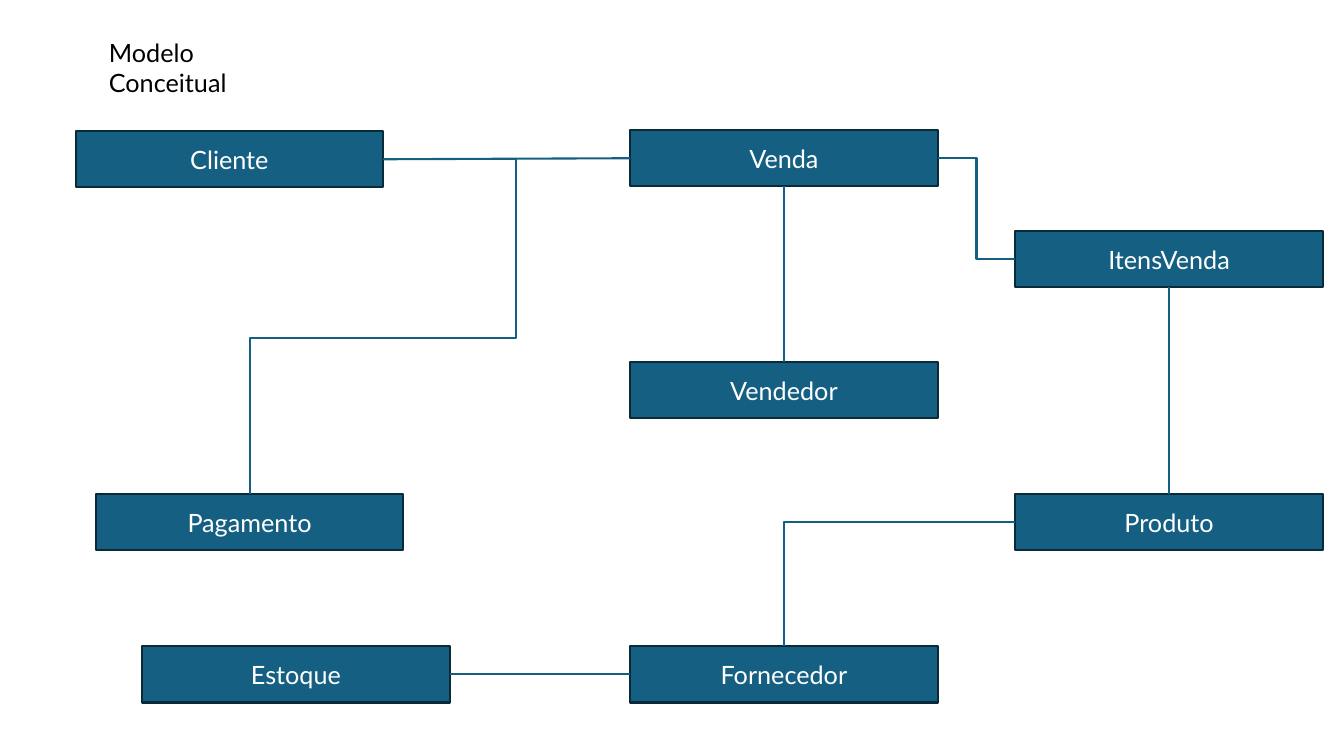
"""Build the "Modelo Conceitual" entity diagram slide."""
import pptx
import pptx.dml.color
import pptx.enum.shapes
import pptx.enum.text
import pptx.oxml
import pptx.oxml.ns
import pptx.util

SLIDE_SIZE = (13.33, 7.5)
TITLE = ("Modelo Conceitual", (0.98, 0.32, 2.27, 0.4))
BOX_WIDTH, BOX_HEIGHT = 3.05, 0.56
COLUMNS = {"client": 0.75, "payment": 0.95, "stock": 1.41, "middle": 6.25, "right": 10.07}
ROWS = {"client": 1.3, "sale": 1.29, "items": 2.29, "seller": 3.59, "product": 4.9, "supplier": 6.41}
ENTITIES = {
    "Cliente": ("client", "client"),
    "Venda": ("middle", "sale"),
    "Produto": ("right", "product"),
    "Fornecedor": ("middle", "supplier"),
    "Vendedor": ("middle", "seller"),
    "Pagamento": ("payment", "product"),
    "ItensVenda": ("right", "items"),
    "Estoque": ("stock", "supplier"),
}
TOP, LEFT, BOTTOM, RIGHT = range(4)
SIDE_SHARES = {TOP: (0.5, 0), LEFT: (0, 0.5), BOTTOM: (0.5, 1), RIGHT: (1, 0.5)}
LINKS = [
    ("Cliente", RIGHT, "Venda", LEFT, "line"),
    ("Venda", BOTTOM, "Vendedor", TOP, "line"),
    ("Venda", RIGHT, "ItensVenda", LEFT, "bentConnector3"),
    ("ItensVenda", BOTTOM, "Produto", TOP, "line"),
    ("Produto", LEFT, "Fornecedor", TOP, "bentConnector2"),
    ("Estoque", RIGHT, "Fornecedor", LEFT, "line"),
]
JUNCTION, JUNCTION_BEND = (5.12, 1.57), 3.35
FONT, FONT_SIZE, LINE_WIDTH = "Lato", 18, 1.5
BLUE, NAVY, WHITE, BLACK = "156082", "092A39", "FFFFFF", "000000"


def color(code):
    return pptx.dml.color.RGBColor.from_string(code)


def inches(values):
    return [pptx.util.Inches(value) for value in values]


def write(shape, text, code, align, anchor):
    frame = shape.text_frame
    frame.vertical_anchor = anchor
    para = frame.paragraphs[0]
    para.text = text
    para.alignment = align
    para.font.name = FONT
    para.font.size = pptx.util.Pt(FONT_SIZE)
    para.font.color.rgb = color(code)


def add_title(page):
    text, place = TITLE
    title = page.shapes.title
    title.left, title.top, title.width, title.height = inches(place)
    write(title, text, BLACK, pptx.enum.text.PP_ALIGN.LEFT, pptx.enum.text.MSO_ANCHOR.TOP)
    title.text_frame.word_wrap = False
    title.text_frame.auto_size = pptx.enum.text.MSO_AUTO_SIZE.SHAPE_TO_FIT_TEXT


def add_entity(page, name, column, row):
    place = inches((COLUMNS[column], ROWS[row], BOX_WIDTH, BOX_HEIGHT))
    box = page.shapes.add_shape(pptx.enum.shapes.MSO_SHAPE.RECTANGLE, *place)
    box.shadow.inherit = False
    box.fill.solid()
    box.fill.fore_color.rgb = color(BLUE)
    box.line.color.rgb = color(NAVY)
    box.line.width = pptx.util.Pt(LINE_WIDTH)
    write(box, name, WHITE, pptx.enum.text.PP_ALIGN.CENTER, pptx.enum.text.MSO_ANCHOR.MIDDLE)
    return box


def side_point(name, side):
    column, row = ENTITIES[name]
    across, down = SIDE_SHARES[side]
    return COLUMNS[column] + across * BOX_WIDTH, ROWS[row] + down * BOX_HEIGHT


def add_link(page, start, end, preset):
    kinds = pptx.enum.shapes.MSO_CONNECTOR
    kind = kinds.STRAIGHT if preset == "line" else kinds.ELBOW
    link = page.shapes.add_connector(kind, *inches(start + end))
    link.line.color.rgb = color(BLUE)
    link.line.width = pptx.util.Pt(LINE_WIDTH)
    properties = link.element.spPr
    properties.find(pptx.oxml.ns.qn("a:prstGeom")).set("prst", preset)
    properties.append(pptx.oxml.parse_xml(f"<a:effectLst {pptx.oxml.ns.nsdecls('a')}/>"))
    return link


def add_payment_link(page, box):
    start, end = JUNCTION, side_point("Pagamento", TOP)
    link = add_link(page, start, end, "bentConnector3")
    link.end_connect(box, TOP)
    run, drop = start[0] - end[0], end[1] - start[1]
    center_x, center_y = (start[0] + end[0]) / 2, (start[1] + end[1]) / 2
    frame = (center_x - drop / 2, center_y - run / 2, drop, run)
    link.left, link.top, link.width, link.height = inches(frame)
    transform = link.element.spPr.find(pptx.oxml.ns.qn("a:xfrm"))
    transform.attrib.pop("flipH", None)
    transform.set("rot", str(90 * 60000))
    share = round((JUNCTION_BEND - start[1]) / drop * 100000)
    guides = link.element.spPr.find(pptx.oxml.ns.qn("a:prstGeom")).get_or_add_avLst()
    guides.append(pptx.oxml.parse_xml(
        f'<a:gd {pptx.oxml.ns.nsdecls("a")} name="adj1" fmla="val {share}"/>'))


def main():
    deck = pptx.Presentation()
    deck.slide_width, deck.slide_height = inches(SLIDE_SIZE)
    page = deck.slides.add_slide(deck.slide_layouts.get_by_name("Title Only"))
    add_title(page)
    boxes = {name: add_entity(page, name, *cell) for name, cell in ENTITIES.items()}
    for source, source_side, target, target_side, preset in LINKS:
        link = add_link(page, side_point(source, source_side), side_point(target, target_side), preset)
        link.begin_connect(boxes[source], source_side)
        link.end_connect(boxes[target], target_side)
    add_payment_link(page, boxes["Pagamento"])
    deck.save("out.pptx")


if __name__ == "__main__":
    main()
